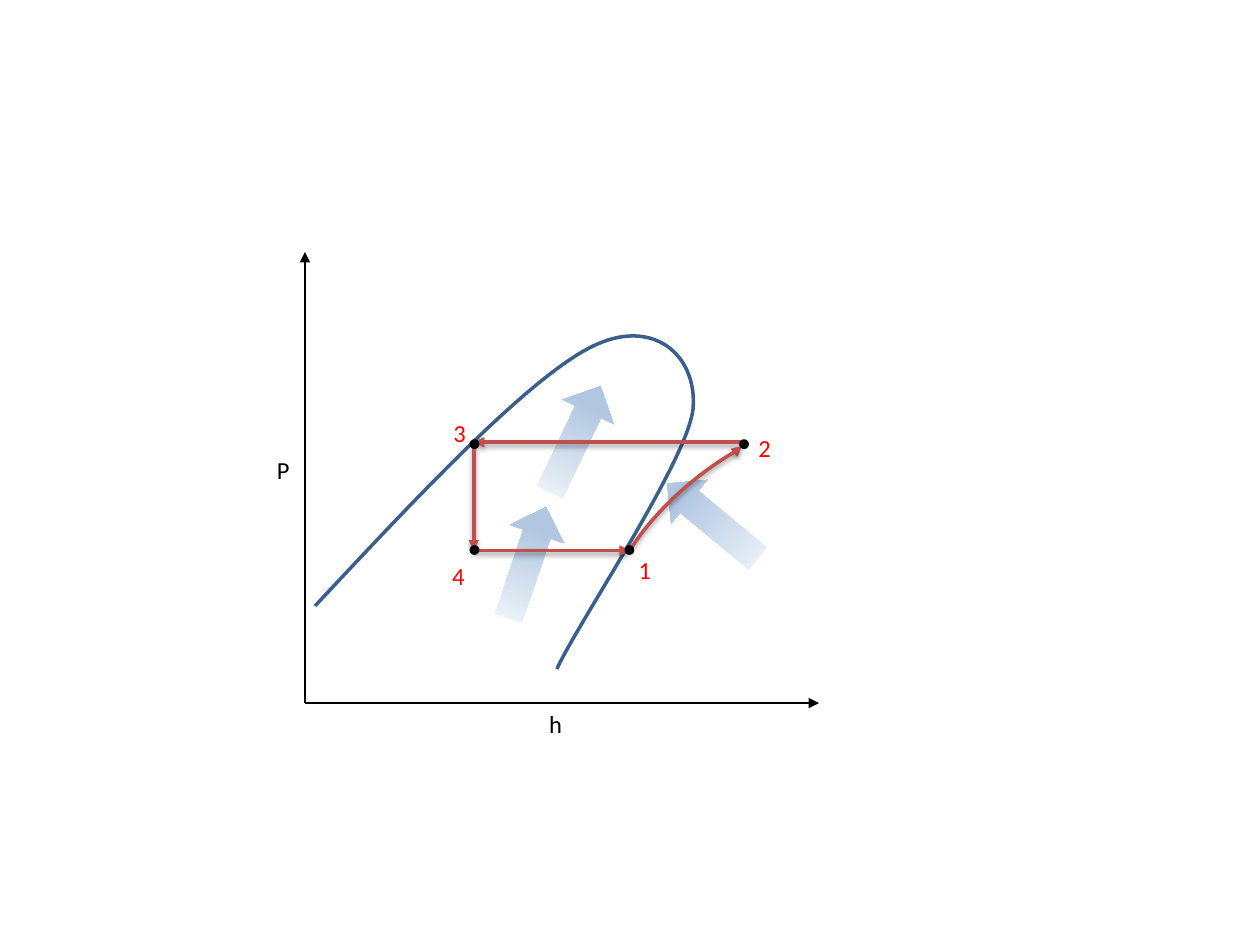
from typing import NamedTuple

from lxml import etree
from pptx import Presentation
from pptx.dml.color import RGBColor
from pptx.enum.shapes import MSO_CONNECTOR, MSO_SHAPE
from pptx.enum.text import MSO_AUTO_SIZE
from pptx.oxml import parse_xml
from pptx.oxml.ns import nsdecls, qn
from pptx.util import Inches, Pt

BLACK, RED, CYCLE, DOME = "000000", "FF0000", "C0504D", "3A5F8C"
GRADIENT = [(0, "F6F9FC"), (74, "B0C6E1"), (83, "B0C6E1"), (100, "CAD9EB")]
ARROW_W, ARROW_H = 0.93, 0.45
DOT = 0.05
LABEL_H = 0.34


class BlockArrow(NamedTuple):
    left: float
    top: float
    rotation: float


class Line(NamedTuple):
    start: tuple[float, float]
    end: tuple[float, float]


class Label(NamedTuple):
    text: str
    left: float
    top: float
    width: float
    color: str


ORIGIN = (2.42, 5.58)
AXES = [Line(ORIGIN, (2.42, 2)), Line(ORIGIN, (6.5, 5.58))]
BLOCK_ARROWS = [
    BlockArrow(3.72, 4.24, 288.6),
    BlockArrow(4.1, 3.26, 295.5),
    BlockArrow(5.19, 3.91, 219.6),
]
CYCLE_LINES = [
    Line((5.92, 3.51), (3.76, 3.51)),
    Line((3.76, 4.37), (5, 4.37)),
    Line((3.76, 3.51), (3.76, 4.37)),
    Line((5.83, 3.59), (5.89, 3.54)),
]
DOTS = [(5.88, 3.5), (4.97, 4.34), (3.74, 3.5), (3.74, 4.34)]
AXIS_LABELS = [Label("P", 2.1, 3.56, 0.33, BLACK), Label("h", 4.26, 5.58, 0.33, BLACK)]
STATE_LABELS = [
    Label("1", 4.97, 4.36, 0.25, RED),
    Label("2", 5.92, 3.39, 0.25, RED),
    Label("3", 3.5, 3.27, 0.25, RED),
    Label("4", 3.49, 4.4, 0.25, RED),
]
DOME_CURVES = [
    [(2.5, 4.81), (3.34, 3.91), (4.18, 3.02), (4.68, 2.76)],
    [(4.68, 2.76), (5.18, 2.5), (5.54, 2.82), (5.5, 3.25)],
    [(5.5, 3.25), (5.45, 3.67), (4.57, 4.97), (4.42, 5.31)],
]


def rgb(color: str) -> RGBColor:
    return RGBColor.from_string(color)


def set_line(shape, color: str, width: float) -> None:
    shape.line.color.rgb = rgb(color)
    shape.line.width = Pt(width)


def set_effects(shape, shadow: bool) -> None:
    xml = (
        f'<a:effectLst {nsdecls("a")}><a:outerShdw blurRad="{Pt(3.1)}" dist="{Pt(1.6)}" '
        'dir="5400000" rotWithShape="0"><a:srgbClr val="000000"><a:alpha val="38000"/>'
        "</a:srgbClr></a:outerShdw></a:effectLst>"
        if shadow
        else f'<a:effectLst {nsdecls("a")}/>'
    )
    shape._element.spPr.append(parse_xml(xml))


def add_block_arrow(s, arrow: BlockArrow) -> None:
    sp = s.shapes.add_shape(
        MSO_SHAPE.RIGHT_ARROW,
        Inches(arrow.left), Inches(arrow.top), Inches(ARROW_W), Inches(ARROW_H),
    )
    sp.rotation = arrow.rotation
    sp.shadow.inherit = False
    sp.line.fill.background()
    sp.fill.gradient()
    sp.fill.gradient_angle = 0
    stops = sp._element.spPr.find(qn("a:gradFill")).find(qn("a:gsLst"))
    for stop in list(stops):
        stops.remove(stop)
    for position, color in GRADIENT:
        stop = etree.SubElement(stops, qn("a:gs"), pos=str(position * 1000))
        etree.SubElement(stop, qn("a:srgbClr"), val=color)


def add_arrow(s, line: Line, color: str, width: float, shadow: bool) -> None:
    cx = s.shapes.add_connector(
        MSO_CONNECTOR.STRAIGHT, *(Inches(v) for v in line.start + line.end)
    )
    set_line(cx, color, width)
    etree.SubElement(cx.line._get_or_add_ln(), qn("a:tailEnd"), type="triangle")
    set_effects(cx, shadow)


def bezier(points: list, t: float) -> tuple[int, int]:
    weights = ((1 - t) ** 3, 3 * t * (1 - t) ** 2, 3 * t**2 * (1 - t), t**3)
    x, y = (sum(w * v for w, v in zip(weights, axis)) for axis in zip(*points))
    return Inches(x), Inches(y)


def add_dome(s, steps: int = 30) -> None:
    points = [bezier(c, i / steps) for c in DOME_CURVES for i in range(1, steps + 1)]
    builder = s.shapes.build_freeform(*bezier(DOME_CURVES[0], 0))
    builder.add_line_segments(points, close=False)
    sp = builder.convert_to_shape()
    sp.fill.background()
    set_line(sp, DOME, 2)
    sp.shadow.inherit = False


def add_compression_arc(s) -> None:
    sp = s.shapes.add_shape(
        MSO_SHAPE.ARC, Inches(4.62), Inches(3.71), Inches(2.4), Inches(1.06)
    )
    sp.rotation = 320.3
    sp.adjustments[0] = 127.54
    sp.adjustments[1] = 187.3
    sp.fill.background()
    set_line(sp, CYCLE, 2)
    set_effects(sp, True)


def add_dot(s, left: float, top: float) -> None:
    sp = s.shapes.add_shape(
        MSO_SHAPE.OVAL, Inches(left), Inches(top), Inches(DOT), Inches(DOT)
    )
    sp.fill.solid()
    sp.fill.fore_color.rgb = rgb(BLACK)
    set_line(sp, BLACK, 2)
    sp.shadow.inherit = False


def add_label(s, label: Label) -> None:
    tf = s.shapes.add_textbox(
        Inches(label.left), Inches(label.top), Inches(label.width), Inches(LABEL_H)
    ).text_frame
    tf.text = label.text
    tf.word_wrap = False
    tf.auto_size = MSO_AUTO_SIZE.SHAPE_TO_FIT_TEXT
    font = tf.paragraphs[0].runs[0].font
    font.name = "Calibri"
    font.size = Pt(14)
    font.color.rgb = rgb(label.color)


def main() -> None:
    prs = Presentation()
    prs.slide_width, prs.slide_height = Inches(10), Inches(7.5)
    s = prs.slides.add_slide(prs.slide_layouts[6])
    for arrow in BLOCK_ARROWS:
        add_block_arrow(s, arrow)
    for axis in AXES:
        add_arrow(s, axis, BLACK, 0.75, False)
    for label in AXIS_LABELS:
        add_label(s, label)
    add_dome(s)
    for line in CYCLE_LINES:
        add_arrow(s, line, CYCLE, 2, True)
    add_compression_arc(s)
    for left, top in DOTS:
        add_dot(s, left, top)
    for label in STATE_LABELS:
        add_label(s, label)
    prs.save("out.pptx")


if __name__ == "__main__":
    main()
